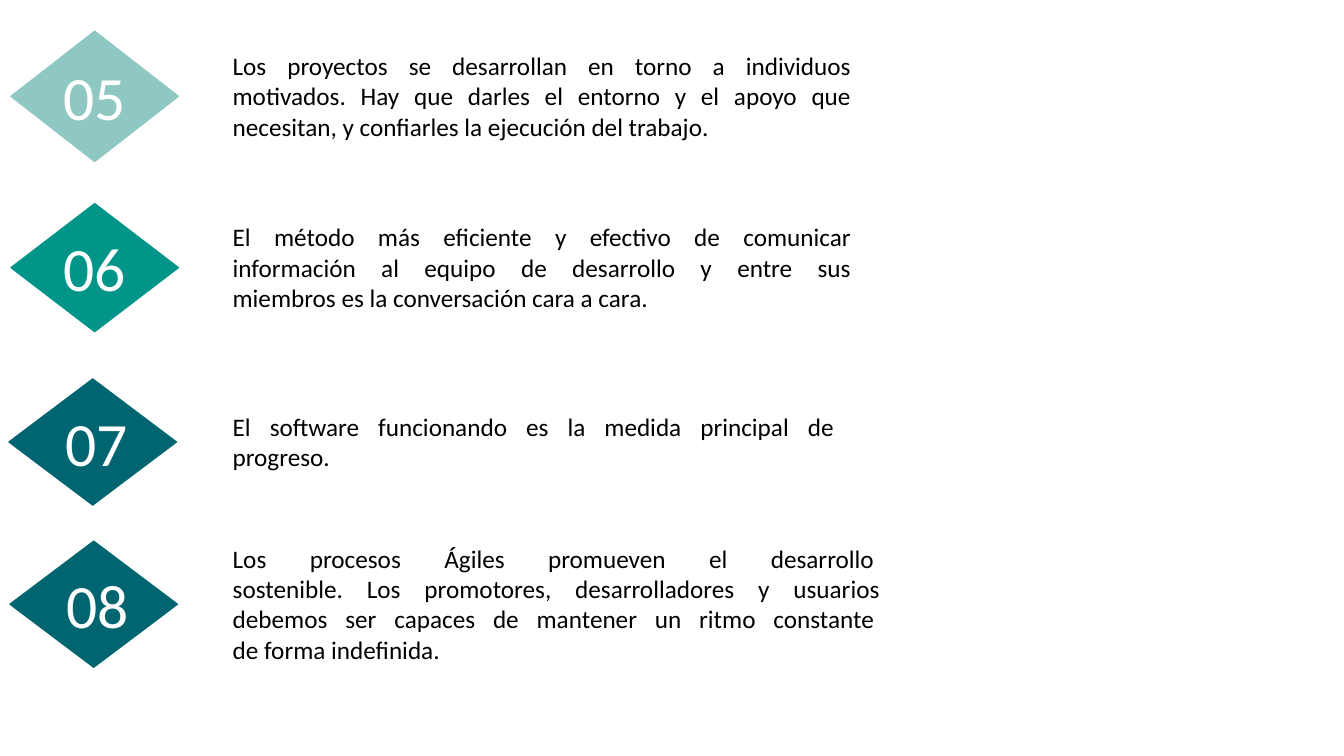
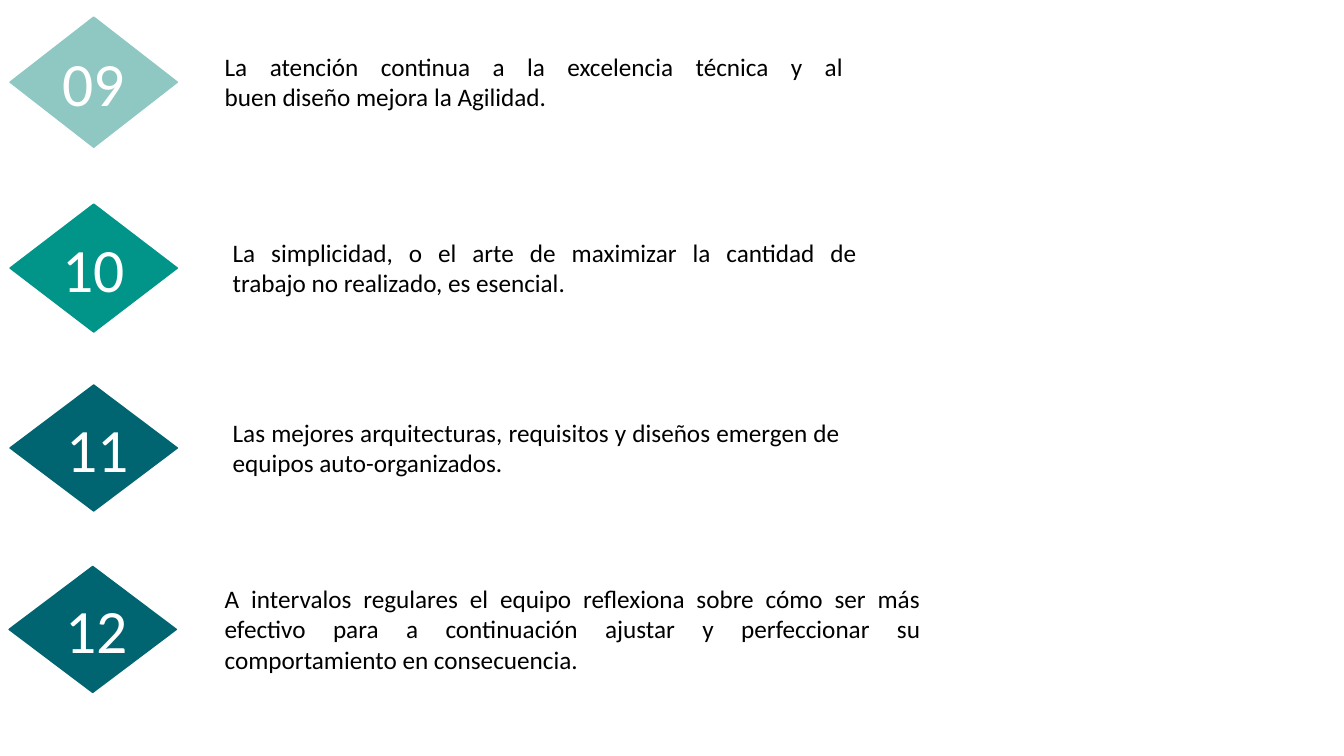
from dataclasses import dataclass

from pptx import Presentation
from pptx.dml.color import RGBColor
from pptx.enum import shapes, text
from pptx.util import Pt

COLOURS = {
    "mint": "8FC8C2",
    "green": "019589",
    "teal": "006571",
    "black": "000000",
    "white": "FFFFFF",
}
FONT = "Calibri"
DIAMOND_WIDTH = 119.5
NUMBER_HEIGHT = 60.5
LINE_HEIGHT, TEXT_PADDING = 21.6, 7.9


@dataclass
class Badge:
    colour: str
    height: float
    number_centre: float  # measured from the left tip of the diamond
    number_width: float


@dataclass
class Principle:
    number: str
    wording: str
    line_count: int
    centre: float
    diamond_left: float
    text_left: float
    text_width: float


# The four badge styles, from top to bottom of every slide
BADGES = [
    Badge("mint", 93, 60, 71.3),
    Badge("green", 91.4, 60, 68.4),
    Badge("teal", 90, 62.3, 59.8),
    Badge("teal", 90, 62.3, 59.8),
]

SLIDES = [
    [
        Principle("05", "Los proyectos se desarrollan en torno a individuos\u00a0\n"
                  "motivados. Hay que darles el entorno y el apoyo que\u00a0\n"
                  "necesitan, y confiarles la ejecución del trabajo.\u00a0",
                  3, 68.8, 7.9, 159.1, 460),
        Principle("06", "El método más eficiente y efectivo de comunicar\u00a0\n"
                  "información al equipo de desarrollo y entre sus\u00a0\n"
                  "miembros es la conversación cara a cara.",
                  3, 191.2, 7.9, 159.1, 460),
        Principle("07", "El software funcionando es la medida principal de\u00a0\n"
                  "progreso.",
                  2, 315.7, 6.5, 159.1, 448),
        Principle("08", "Los procesos Ágiles promueven el desarrollo\u00a0\n"
                  "sostenible. Los promotores, desarrolladores y usuarios\n"
                  "debemos ser capaces de mantener un ritmo constante\u00a0\n"
                  "de forma indefinida.",
                  4, 431.6, 7.2, 159.1, 476.6),
    ],
    [
        Principle("09", "La atención continua a la excelencia técnica y al\u00a0\n"
                  "buen diseño mejora la Agilidad.",
                  2, 58.7, 7.2, 153.4, 460),
        Principle("10", "La simplicidad, o el arte de maximizar la cantidad de\n"
                  "trabajo no realizado, es esencial.",
                  2, 191.5, 7.2, 159.1, 460),
        Principle("11", "Las mejores arquitecturas, requisitos y diseños emergen de "
                  "equipos auto-organizados.",
                  2, 320, 7.2, 159.1, 448),
        Principle("12", "A intervalos regulares el equipo reflexiona sobre cómo ser más "
                  "efectivo para a continuación ajustar y perfeccionar su "
                  "comportamiento en consecuencia.",
                  3, 449.6, 6.5, 153.4, 511.2),
    ],
]


def rgb(name):
    return RGBColor.from_string(COLOURS[name])


def centred_box(left, centre, width, height):
    """Left, top, width and height of a box centred on a horizontal axis."""
    return Pt(left), Pt(centre - height / 2), Pt(width), Pt(height)


def add_text(slide, box, wording, size, colour, alignment):
    frame = slide.shapes.add_textbox(*box).text_frame
    frame.word_wrap = True
    frame.auto_size = text.MSO_AUTO_SIZE.SHAPE_TO_FIT_TEXT
    paragraph = frame.paragraphs[0]
    paragraph.text = wording
    paragraph.alignment = alignment
    for run in paragraph.runs:
        run.font.name = FONT
        run.font.size = Pt(size)
        run.font.color.rgb = rgb(colour)


def add_badge(slide, badge, number, left, centre):
    diamond = slide.shapes.add_shape(
        shapes.MSO_SHAPE.DIAMOND, *centred_box(left, centre, DIAMOND_WIDTH, badge.height))
    diamond.shadow.inherit = False
    diamond.fill.solid()
    diamond.fill.fore_color.rgb = rgb(badge.colour)
    diamond.line.color.rgb = rgb(badge.colour)
    diamond.line.width = Pt(1)

    number_left = left + badge.number_centre - badge.number_width / 2
    box = centred_box(number_left, centre, badge.number_width, NUMBER_HEIGHT)
    add_text(slide, box, number, 44, "white", text.PP_ALIGN.CENTER)


def add_principle(slide, badge, principle):
    add_badge(slide, badge, principle.number, principle.diamond_left, principle.centre)
    height = principle.line_count * LINE_HEIGHT + TEXT_PADDING
    box = centred_box(principle.text_left, principle.centre, principle.text_width, height)
    add_text(slide, box, principle.wording, 18, "black", text.PP_ALIGN.JUSTIFY)


def add_principles_slide(presentation, principles):
    slide = presentation.slides.add_slide(presentation.slide_layouts[6])
    for badge, principle in zip(BADGES, principles):
        add_principle(slide, badge, principle)


presentation = Presentation()
presentation.slide_width, presentation.slide_height = Pt(960), Pt(540)
for principles in SLIDES:
    add_principles_slide(presentation, principles)
presentation.save("out.pptx")
